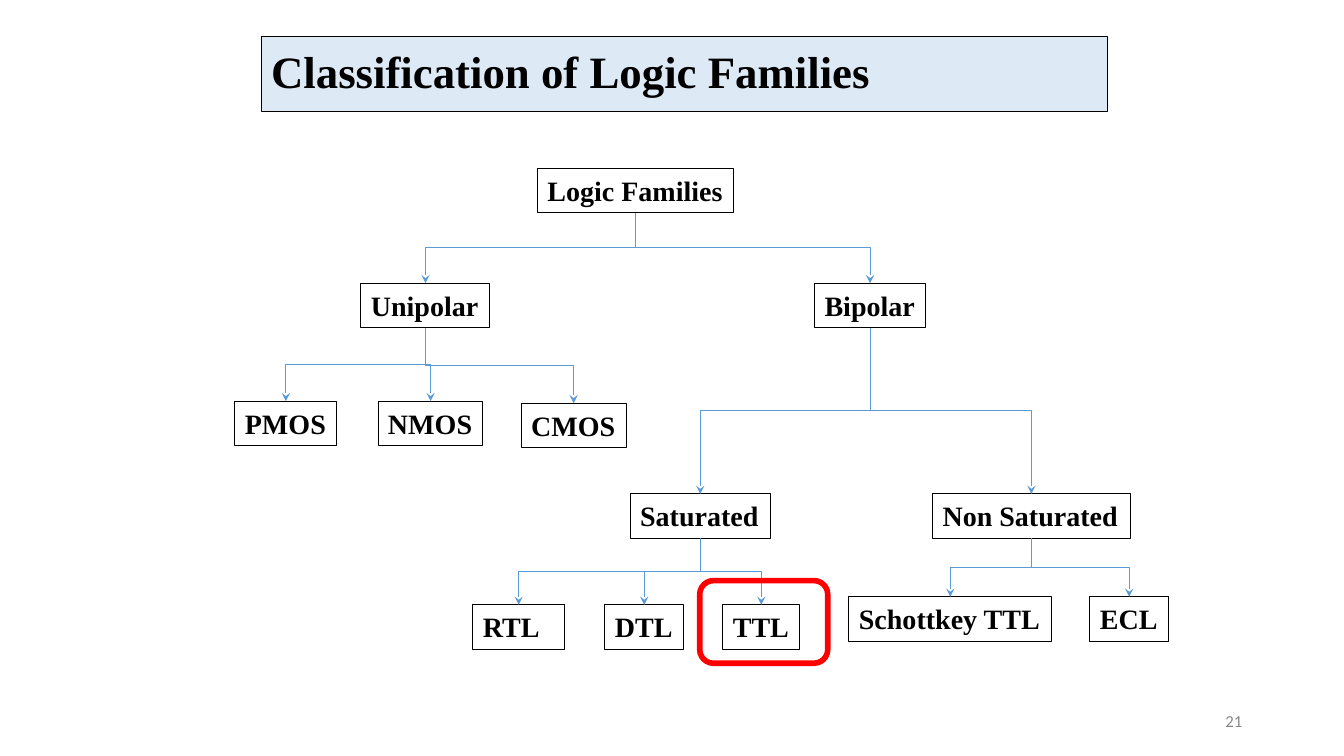
from lxml import etree
from pptx import Presentation
from pptx.dml.color import RGBColor
from pptx.enum.shapes import MSO_CONNECTOR, MSO_SHAPE
from pptx.enum.text import MSO_ANCHOR, PP_ALIGN
from pptx.oxml.ns import qn
from pptx.util import Inches, Pt

RECT, ROUND = MSO_SHAPE.RECTANGLE, MSO_SHAPE.ROUNDED_RECTANGLE
ELBOW = MSO_CONNECTOR.ELBOW
TOP, MIDDLE = MSO_ANCHOR.TOP, MSO_ANCHOR.MIDDLE
LEFT, RIGHT = PP_ALIGN.LEFT, PP_ALIGN.RIGHT
COLORS = {name: RGBColor.from_string(code) for name, code in {
    "ink": "000000", "band": "DDEAF6", "link": "5B9BD5",
    "ring": "FF0000", "page": "888888"}.items()}

deck = Presentation()
deck.slide_width, deck.slide_height = Inches(13.33), Inches(7.5)
slide = deck.slides.add_slide(deck.slide_layouts[6])
shapes = slide.shapes


def add_box(kind, left, top, width, height, line, weight):
    box = shapes.add_shape(kind, Inches(left), Inches(top), Inches(width), Inches(height))
    box.shadow.inherit = False
    box.fill.background()
    box.line.color.rgb = COLORS[line]
    box.line.width = Pt(weight)
    return box


def add_text(box, text, size, font, color, anchor, align=LEFT, bold=True):
    frame = box.text_frame
    frame.word_wrap = True
    frame.vertical_anchor = anchor
    para = frame.paragraphs[0]
    para.alignment = align
    run = para.add_run()
    run.text = text
    run.font.size = Pt(size)
    run.font.name = font
    run.font.bold = bold
    run.font.color.rgb = COLORS[color]


# Title band
title = add_box(RECT, 2.59, 0.36, 8.39, 0.75, "ink", 0.75)
title.fill.solid()
title.fill.fore_color.rgb = COLORS["band"]
add_text(title, "Classification of Logic Families", 32, "Times New Roman", "ink", MIDDLE)
title.text_frame.paragraphs[0].line_spacing = 0.9

# Tree boxes: name, parent, left, top, width
TREE = [
    ("Logic Families", None, 5.33, 1.67, 1.95),
    ("Unipolar", "Logic Families", 3.58, 2.81, 1.28),
    ("Bipolar", "Logic Families", 8.08, 2.81, 1.1),
    ("PMOS", "Unipolar", 2.33, 3.98, 1.01),
    ("NMOS", "Unipolar", 3.75, 3.98, 1.04),
    ("CMOS", "Unipolar", 5.17, 4, 1.04),
    ("Saturated", "Bipolar", 6.25, 4.9, 1.39),
    ("Non Saturated", "Bipolar", 9.25, 4.9, 1.96),
    ("RTL", "Saturated", 4.69, 6, 0.91),
    ("DTL", "Saturated", 6, 6, 0.78),
    ("TTL", "Saturated", 7.17, 6, 0.76),
    ("Schottkey TTL", "Non Saturated", 8.42, 5.92, 2.01),
    ("ECL", "Non Saturated", 10.81, 5.92, 0.78),
]
nodes = {}
for name, parent, left, top, width in TREE:
    node = add_box(RECT, left, top, width, 0.44, "ink", 0.75)
    node.text_frame.margin_right = 0
    add_text(node, name, 20, "Times New Roman", "ink", TOP)
    nodes[name] = node

# Elbow arrows from each parent down to its child
for name, parent, *_ in TREE:
    if not parent:
        continue
    start, end = nodes[parent], nodes[name]
    x1, y1 = start.left + start.width // 2, start.top + start.height
    x2, y2 = end.left + end.width // 2, end.top
    link = shapes.add_connector(ELBOW, x1, y1, x2, y2)
    link.begin_connect(start, 2)
    link.end_connect(end, 0)
    # A quarter turn makes the elbow leave downwards
    drop, span = y2 - y1, abs(x2 - x1)
    link.left, link.top = (x1 + x2 - drop) // 2, (y1 + y2 - span) // 2
    link.width, link.height = drop, span
    props = link._element.spPr
    frame = props.find(qn("a:xfrm"))
    frame.set("rot", str((270 if x2 > x1 else 90) * 60000))
    frame.set("flipH", "1" if x2 > x1 else "0")
    link.line.color.rgb = COLORS["link"]
    link.line.width = Pt(0.75)
    etree.SubElement(props.find(qn("a:ln")), qn("a:tailEnd"), type="stealth")
    etree.SubElement(props, qn("a:effectLst"))

# Page number
page = shapes.add_textbox(Inches(9.42), Inches(6.95), Inches(3), Inches(0.4))
add_text(page, "21", 12, "Calibri", "page", MIDDLE, RIGHT, False)

# Ring around TTL
add_box(ROUND, 6.94, 5.76, 1.27, 0.82, "ring", 4)

deck.save("out.pptx")
